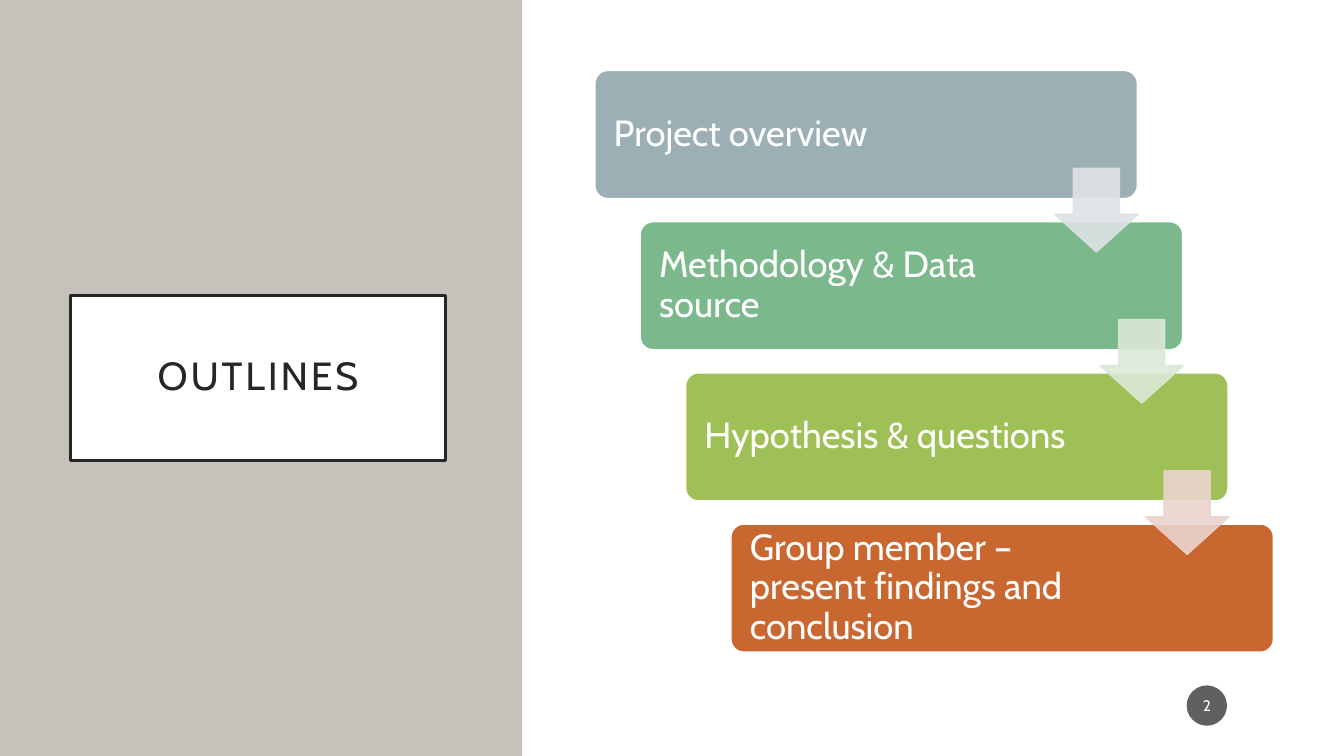
from lxml import etree
from pptx import Presentation
from pptx.dml.color import RGBColor
from pptx.enum import shapes, text
from pptx.oxml.ns import qn
from pptx.util import Inches, Pt

TITLE = "OUTLINES"
PAGE_NUMBER = "2"
# Step text, card colour, colour of the arrow leading to the next step
STEPS = [
    ("Project overview", RGBColor(0x9B, 0xAF, 0xB5), RGBColor(0xDE, 0xE3, 0xE5)),
    ("Methodology & Data source", RGBColor(0x7B, 0xB8, 0x8C), RGBColor(0xDB, 0xE8, 0xD6)),
    ("Hypothesis & questions", RGBColor(0x9F, 0xC0, 0x57), RGBColor(0xEB, 0xD3, 0xCD)),
    ("Group member – present findings and conclusion", RGBColor(0xC9, 0x67, 0x31), None),
]

FONT = "Cabin"
WHITE = RGBColor(0xFF, 0xFF, 0xFF)
INK = RGBColor(0x26, 0x26, 0x26)
BADGE = RGBColor(0x1D, 0x1D, 0x1D)
PANEL = RGBColor(0xC6, 0xC1, 0xBA)

SLIDE_W, SLIDE_H = 13.33, 7.5
PANEL_W, CONTENT_LEFT = 5.18, 5.2
CARD_LEFT, CARD_TOP, CARD_W, CARD_H = 5.9, 0.7, 5.38, 1.27
STEP_X, STEP_Y = 0.45, 1.5
ARROW = 0.83
ARROW_DX, ARROW_DY = 4.56, 0.97
BADGE_SIZE = 0.4


def add_solid(page, kind, left, top, width, height, color, line=None, alpha=None):
    """Add a flat shape; alpha is its opacity in percent."""
    shape = page.shapes.add_shape(kind, *map(Inches, (left, top, width, height)))
    shape.shadow.inherit = False
    shape.fill.solid()
    shape.fill.fore_color.rgb = color
    if line is None:
        shape.line.fill.background()
    else:
        shape.line.color.rgb = line
        shape.line.width = Pt(1)
    if alpha is not None:
        for color_tag in shape._element.spPr.iter(qn("a:srgbClr")):
            etree.SubElement(color_tag, qn("a:alpha")).set("val", str(alpha * 1000))
    return shape


def write(shape, words, size, color, align, insets, spacing=1.0):
    """Fill a shape with one paragraph; insets are left, top, right, bottom."""
    frame = shape.text_frame
    frame.text = words
    frame.word_wrap = True
    frame.auto_size = text.MSO_AUTO_SIZE.NONE
    frame.vertical_anchor = text.MSO_ANCHOR.MIDDLE
    (frame.margin_left, frame.margin_top,
     frame.margin_right, frame.margin_bottom) = map(Inches, insets)
    para = frame.paragraphs[0]
    para.alignment = align
    para.line_spacing = spacing
    span = para.runs[0]
    span.font.name = FONT
    span.font.size = Pt(size)
    span.font.color.rgb = color
    return span


def add_title(page):
    title = page.shapes.title
    title.left, title.top, title.width, title.height = map(Inches, (0.7, 2.93, 3.72, 1.64))
    title.fill.solid()
    title.fill.fore_color.rgb = WHITE
    title.line.color.rgb = INK
    title.line.width = Pt(2.5)
    span = write(title, TITLE, 28, INK, text.PP_ALIGN.CENTER, [0.2] * 4, 0.9)
    span.font._element.set("spc", "200")
    return title


def add_steps(page):
    kinds = shapes.MSO_SHAPE
    corners = [(CARD_LEFT + i * STEP_X, CARD_TOP + i * STEP_Y) for i in range(len(STEPS))]
    for (left, top), (words, color, _) in zip(corners, STEPS):
        card = add_solid(page, kinds.ROUNDED_RECTANGLE, left, top, CARD_W, CARD_H, color, WHITE)
        card.adjustments[0] = 0.1
        write(card, words, 26, WHITE, text.PP_ALIGN.LEFT, (0.15, 0.11, 1.42, 0.11), 0.9)
    for (left, top), (_, _, tint) in zip(corners[:-1], STEPS):
        arrow = add_solid(page, kinds.DOWN_ARROW, left + ARROW_DX, top + ARROW_DY,
                          ARROW, ARROW, tint, tint, 90)
        arrow.adjustments[0] = 0.55
        arrow.adjustments[1] = 0.45


def main():
    deck = Presentation()
    deck.slide_width, deck.slide_height = Inches(SLIDE_W), Inches(SLIDE_H)
    page = deck.slides.add_slide(deck.slide_layouts[5])
    kinds = shapes.MSO_SHAPE

    title = add_title(page)
    panel = add_solid(page, kinds.RECTANGLE, 0, 0, PANEL_W, SLIDE_H, PANEL)
    title._element.addprevious(panel._element)  # keep the panel behind the title
    add_solid(page, kinds.RECTANGLE, CONTENT_LEFT, 0, SLIDE_W - CONTENT_LEFT, SLIDE_H, WHITE)
    add_steps(page)
    badge = add_solid(page, kinds.OVAL, 11.77, 6.8, BADGE_SIZE, BADGE_SIZE, BADGE, alpha=70)
    write(badge, PAGE_NUMBER, 11, WHITE, text.PP_ALIGN.CENTER, (0.02, 0.05, 0.02, 0.05))

    deck.save("out.pptx")


if __name__ == "__main__":
    main()
